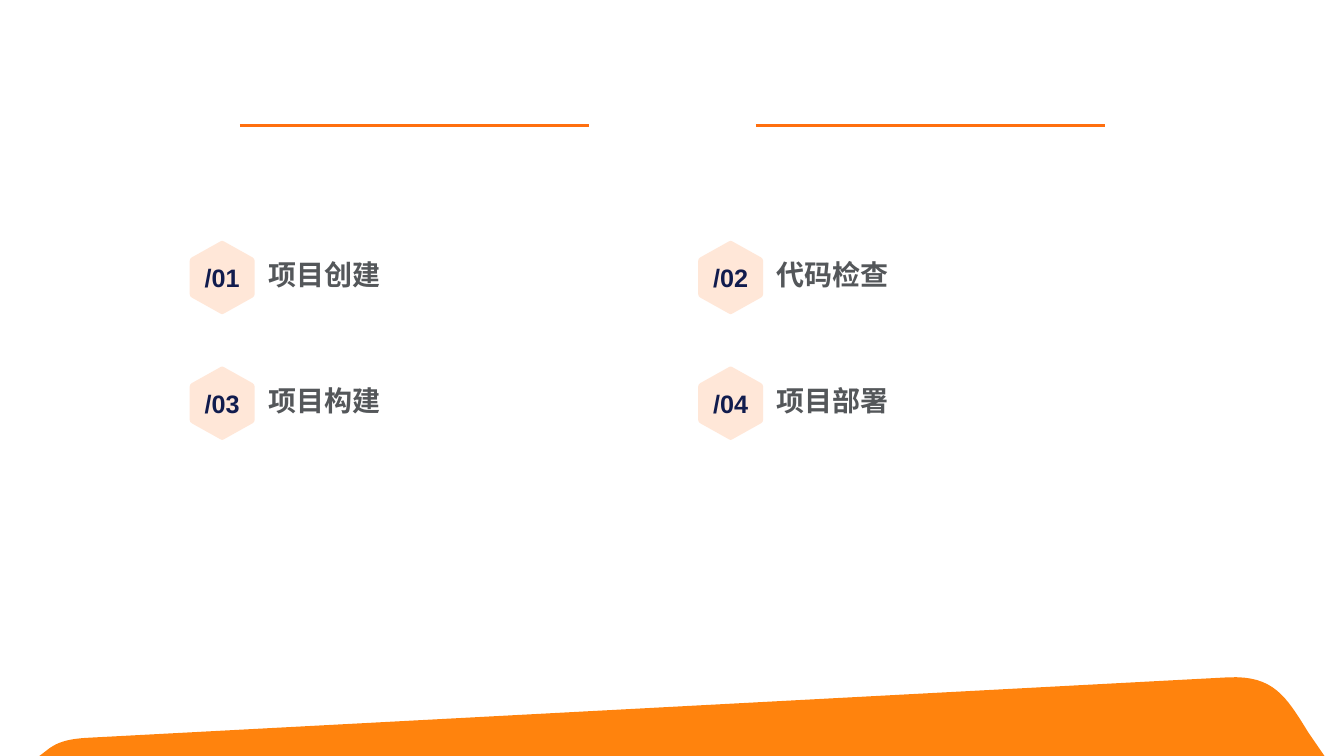
from lxml import etree
from pptx import Presentation
from pptx.dml.color import RGBColor
from pptx.enum import shapes, text
from pptx.oxml.ns import qn
from pptx.util import Pt

COLORS = {"wave": "FF830D", "rule": "FF6F0F", "badge": "FFE2CF",
          "number": "111C4E", "topic": "54575A"}
TOPICS = ["项目创建", "代码检查", "项目构建", "项目部署"]


def color(name):
    """Return the named colour."""
    return RGBColor.from_string(COLORS[name])


def curve(a, b, c, d, steps=16):
    """Sample a cubic curve from a to d."""
    ts = [i / steps for i in range(steps + 1)]
    return [tuple((1 - t) ** 3 * a[k] + 3 * t * (1 - t) ** 2 * b[k]
                  + 3 * t * t * (1 - t) * c[k] + t ** 3 * d[k] for k in (0, 1))
            for t in ts]


def outline(s, points, left, top, fill):
    """Draw a filled closed outline offset by left and top."""
    pts = [(Pt(left + x), Pt(top + y)) for x, y in points]
    builder = s.shapes.build_freeform(*pts[0])
    builder.add_line_segments(pts[1:], close=True)
    sp = builder.convert_to_shape()
    sp.shadow.inherit = False
    sp.fill.solid()
    sp.fill.fore_color.rgb = color(fill)
    sp.line.fill.background()
    return sp


def write(sp, wording, size, font, fill, align):
    """Write one bold, vertically centred paragraph."""
    tf = sp.text_frame
    tf.text = wording
    tf.word_wrap = True
    tf.auto_size = text.MSO_AUTO_SIZE.NONE
    tf.vertical_anchor = text.MSO_ANCHOR.MIDDLE
    p = tf.paragraphs[0]
    p.alignment = align
    p.font.size = Pt(size)
    p.font.bold = True
    p.font.name = font
    p.font.color.rgb = color(fill)
    props = p._p.pPr.find(qn("a:defRPr"))
    etree.SubElement(props, qn("a:ea")).set("typeface", font)
    return tf


def add_wave(s, left, top, width, height):
    """Draw the orange band at the foot of the slide."""
    points = curve((849.5, 0), (881.5, -1.4), (890.5, 13.5), (906.5, 39.5))
    points += [(width, height), (0, height)]
    points += curve((5.8, 51.8), (13, 46), (21.6, 43.9), (34.5, 43.2))
    outline(s, points, left, top, "wave")


def add_rule(s, left, top, width):
    """Draw one horizontal orange rule."""
    line = s.shapes.add_connector(shapes.MSO_CONNECTOR.STRAIGHT,
                                  Pt(left), Pt(top), Pt(left + width), Pt(top))
    line.line.color.rgb = color("rule")
    line.line.width = Pt(2)
    etree.SubElement(line._element.spPr, qn("a:effectLst"))


def add_badge(s, number, left, top, width=46.4, height=52.4):
    """Draw a rounded hexagon holding a number."""
    corner = [(width / 2, 0), (width / 2 - 1.2, 0.4), (1.6, 11.8),
              (0.4, 12.9), (0, 14.4)]
    side = corner + [(x, height - y) for x, y in reversed(corner)]
    points = side + [(width - x, y) for x, y in reversed(side[1:-1])]
    sp = outline(s, points, left, top, "badge")
    fill = sp._element.spPr.find(qn("a:solidFill"))
    etree.SubElement(fill[0], qn("a:alpha")).set("val", "80000")
    tf = write(sp, f"/{number:02}", 18, "Arial", "number", text.PP_ALIGN.CENTER)
    tf.word_wrap = False
    tf.margin_left = tf.margin_right = tf.margin_top = tf.margin_bottom = 0


def add_topic(s, number, wording, left, top):
    """Place one agenda entry, the first one as the slide title."""
    box = Pt(left + 49), Pt(top + 7.2), Pt(283.7), Pt(36.7)
    if number == 1:
        sp = s.shapes.title
        sp.left, sp.top, sp.width, sp.height = box
    else:
        sp = s.shapes.add_textbox(*box)
    tf = write(sp, wording, 20, "Noto Sans CJK SC", "topic", text.PP_ALIGN.LEFT)
    tf.paragraphs[0].line_spacing = 0.9
    add_badge(s, number, left, top)


def add_agenda(s, left, top, column=363.2, row=89.8):
    """Lay the topics out in two columns."""
    for i, wording in enumerate(TOPICS):
        add_topic(s, i + 1, wording,
                  left + i % 2 * column, top + i // 2 * row)


def main():
    """Build and save the agenda slide."""
    prs = Presentation()
    prs.slide_width, prs.slide_height = Pt(960), Pt(540)
    s = prs.slides.add_slide(prs.slide_layouts[5])
    add_wave(s, 28.1, 483.8, 918, 56.2)
    for left in (171.4, 540):
        add_rule(s, left, 89.4, 249.4)
    add_agenda(s, 135.5, 172)
    prs.save("out.pptx")


if __name__ == "__main__":
    main()
